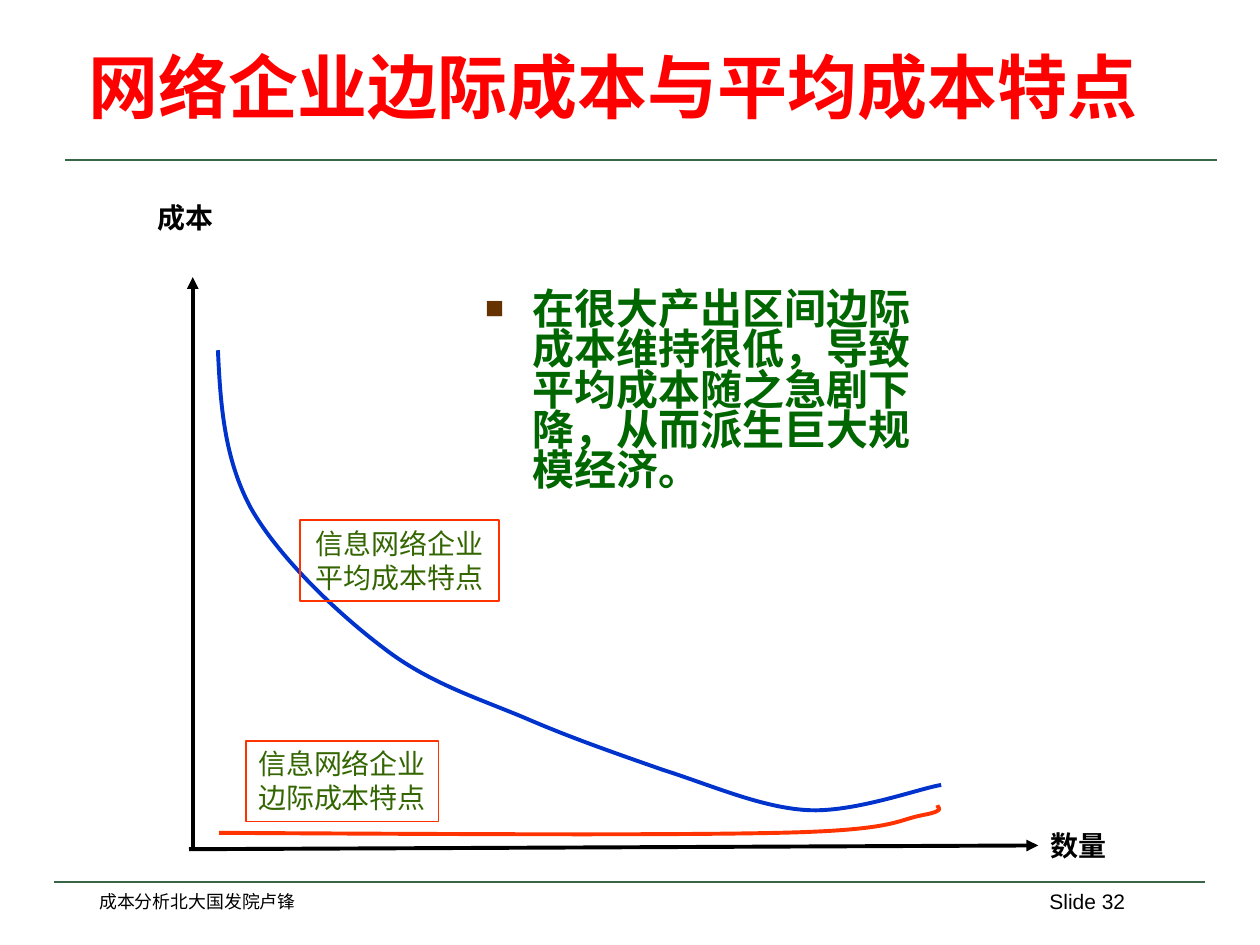
from lxml.etree import SubElement
from pptx import Presentation
from pptx.dml.color import RGBColor as RGB
from pptx.enum.shapes import MSO_CONNECTOR as CONNECTOR, MSO_SHAPE as SHAPE
from pptx.enum.text import MSO_ANCHOR as ANCHOR, MSO_AUTO_SIZE as AUTOSIZE, PP_ALIGN as ALIGN
from pptx.oxml.ns import qn
from pptx.util import Emu, Pt

PX = 9144
THEME = {
    "latin": "Arial", "chinese": "Noto Sans CJK SC",
    "rule": "376546", "axis": "000000", "marginal": "FF3300", "average": "0033CC",
    "bullet": "663300", "rule_width": 1.5, "curve_width": 2.25, "frame_width": 1,
    "title": {"size": Pt(40), "bold": True, "color": "FF0000"},
    "body": {"size": Pt(24), "bold": True, "color": "006600"},
    "axis_label": {"size": Pt(16), "bold": True, "color": "000000"},
    "curve_label": {"size": Pt(16), "bold": False, "color": "336600"},
    "footer": {"size": Pt(10.2), "bold": False, "color": "000000"},
    "number": {"size": Pt(12), "bold": False, "color": "000000"},
}


def write(shape, box, lines, style, align=ALIGN.LEFT, anchor=ANCHOR.TOP, wrap=True, latin="latin"):
    for side, length in zip(("left", "top", "width", "height"), box):
        setattr(shape, side, Emu(length * PX))
    frame = shape.text_frame
    frame.text = "\n".join(lines)
    layout = {"word_wrap": wrap, "auto_size": AUTOSIZE.NONE, "vertical_anchor": anchor,
              "margin_left": Emu(10 * PX), "margin_right": Emu(10 * PX),
              "margin_top": Emu(5 * PX), "margin_bottom": Emu(5 * PX)}
    for key, value in layout.items():
        setattr(frame, key, value)
    for paragraph in frame.paragraphs:
        paragraph.alignment = align
        font = paragraph.runs[0].font
        for key, value in {"name": THEME[latin], "size": style["size"], "bold": style["bold"]}.items():
            setattr(font, key, value)
        font.color.rgb = RGB.from_string(style["color"])
        SubElement(paragraph.runs[0]._r.rPr, qn("a:ea"), typeface=THEME["chinese"])
    return frame


def outline(shape, color, width):
    shape.line.color.rgb = RGB.from_string(THEME[color])
    shape.line.width = Pt(THEME[width])


deck = Presentation()
deck.slide_width, deck.slide_height = Emu(1000 * PX), Emu(750 * PX)
slide = deck.slides.add_slide(deck.slide_layouts[1])
shapes = slide.shapes

for ends, color, width, arrow in (
    ((52, 127, 966, 127), "rule", "rule_width", False),
    ((43, 700, 956, 700), "rule", "rule_width", False),
    ((150, 674, 824, 671), "axis", "curve_width", True),
    ((153, 672, 153, 220), "axis", "curve_width", True),
):
    line = shapes.add_connector(CONNECTOR.STRAIGHT, *(Emu(end * PX) for end in ends))
    outline(line, color, width)
    if arrow:
        SubElement(line.line._get_or_add_ln(), qn("a:tailEnd"), type="triangle")
    SubElement(line._element.spPr, qn("a:effectLst"))

write(shapes.title, (60, 21, 873, 85), ["网络企业边际成本与平均成本特点"], THEME["title"], anchor=ANCHOR.BOTTOM)

finding = write(
    slide.placeholders[1], (375, 227, 377, 192),
    ["在很大产出区间边际成本维持很低，导致平均成本随之急剧下降，从而派生巨大规模经济。"],
    THEME["body"], latin="chinese",
).paragraphs[0]
finding.line_spacing = 0.8
finding.space_before = Pt(15)
bullet = finding._p.get_or_add_pPr()
bullet.set("marL", str(38 * PX))
bullet.set("indent", str(-38 * PX))
SubElement(SubElement(bullet, qn("a:buClr")), qn("a:srgbClr"), val=THEME["bullet"])
SubElement(bullet, qn("a:buSzPct"), val="75000")
SubElement(bullet, qn("a:buFont"), typeface=THEME["latin"])
SubElement(bullet, qn("a:buChar"), char="■")

for box, words, style, align, wrap in (
    ((115, 154, 65, 37), "成本", "axis_label", ALIGN.LEFT, True),
    ((824, 653, 64, 37), "数量", "axis_label", ALIGN.LEFT, False),
    ((69, 702, 616, 27), "成本分析北大国发院卢锋", "footer", ALIGN.LEFT, True),
    ((783, 700, 120, 50), "Slide 32", "number", ALIGN.RIGHT, True),
):
    write(shapes.add_textbox(0, 0, 0, 0), box, [words], THEME[style], align, wrap=wrap)

for color, start, controls in (
    ("marginal", (174, 661), [
        (349, 662), (524, 663), (617, 661),
        (711, 659), (711, 651), (732, 647),
        (754, 643), (742, 640), (744, 639)]),
    ("average", (173, 278), [
        (175, 321), (178, 364), (199, 403),
        (221, 442), (267, 486), (304, 514),
        (340, 542), (379, 554), (417, 570),
        (454, 586), (489, 598), (526, 611),
        (564, 623), (604, 641), (641, 643),
        (678, 645), (729, 626), (747, 623)]),
):
    builder = shapes.build_freeform(*start, scale=PX)
    builder.add_line_segments(controls, close=False)
    curve = builder.convert_to_shape()
    curve.fill.background()
    curve.shadow.inherit = False
    outline(curve, color, "curve_width")
    route = curve._element.find(".//" + qn("a:path"))
    for order, segment in enumerate(route.findall(qn("a:lnTo"))):
        if order % 3 == 0:
            bezier = SubElement(route, qn("a:cubicBezTo"))
        bezier.append(segment[0])
        route.remove(segment)

for box, feature, wrap in (
    ((195, 588, 153, 64), "边际成本特点", False),
    ((238, 413, 158, 64), "平均成本特点", True),
):
    label = shapes.add_shape(SHAPE.RECTANGLE, 0, 0, 0, 0)
    label.fill.background()
    label.shadow.inherit = False
    outline(label, "marginal", "frame_width")
    write(label, box, ["信息网络企业", feature], THEME["curve_label"], ALIGN.CENTER, wrap=wrap)

deck.save("out.pptx")
